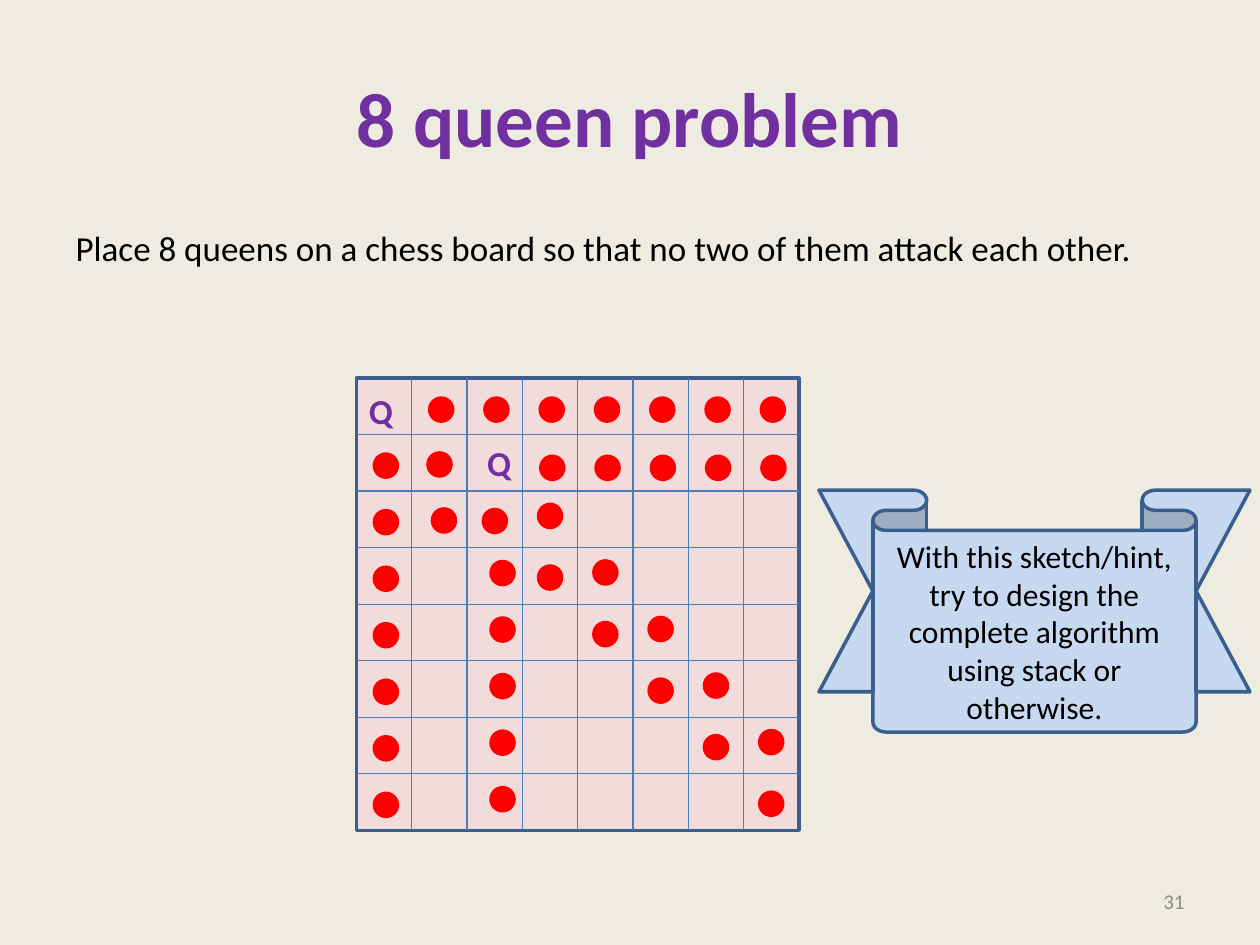
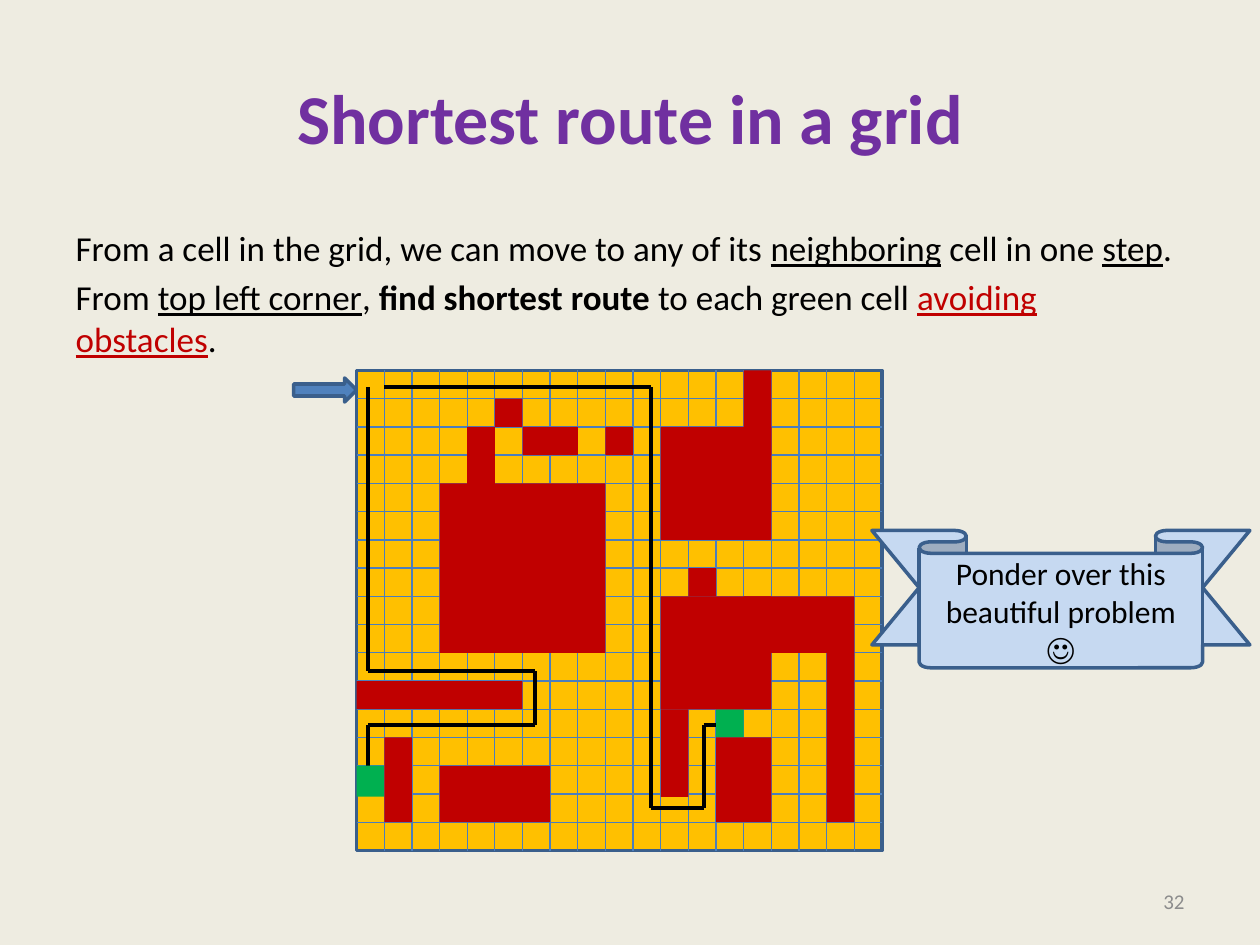
from dataclasses import dataclass
from itertools import pairwise

from lxml.etree import SubElement
from pptx import Presentation
from pptx.dml.color import RGBColor
from pptx.enum.shapes import MSO_CONNECTOR as Connector, MSO_SHAPE as Shape
from pptx.enum.text import MSO_ANCHOR as Anchor, PP_ALIGN as Align
from pptx.oxml.ns import qn
from pptx.util import Inches, Pt

COLOURS = {
    "background": "EEECE1", "title": "7030A0", "text": "000000", "number": "8C8C8C",
    "outline": "3A5F8C", "grid": "4B7EBC", "ribbon": "C6D9F1", "arrow": "4F81BD",
    "chessboard": "F2DCDB", "attacked": "FF0000",
    "floor": "FFC000", "obstacle": "C00000", "target": "00B050",
}
FONT = "Calibri"


@dataclass
class Grid:
    """Cells with their origin and size in inches."""
    left: float
    top: float
    column: float
    row: float

    def point(self, column, row):
        return Inches(self.left + column * self.column), Inches(self.top + row * self.row)

    def box(self, column, row, columns, rows):
        return *self.point(column, row), Inches(columns * self.column), Inches(rows * self.row)


PAGE = Grid(0, 0, 0.5, 0.5)
CHESSBOARD = Grid(2.83, 3, 3.51 / 8, 3.59 / 8)
MAZE = Grid(2.83, 2.94, 4.17 / 19, 3.81 / 17)


def colour(name):
    return RGBColor.from_string(COLOURS[name])


def write_text(text_frame, paragraphs, align=None, **style):
    """Fill a frame; a paragraph is a string or a list of strings and (string, format) runs."""
    for index, runs in enumerate(paragraphs):
        paragraph = text_frame.paragraphs[0] if index == 0 else text_frame.add_paragraph()
        paragraph.alignment = align
        for item in [runs] if isinstance(runs, str) else runs:
            text, extra = (item, {}) if isinstance(item, str) else item
            settings = {"size": 20, "color": "text", **style, **extra}
            run = paragraph.add_run()
            run.text = text
            run.font.name = FONT
            run.font.size = Pt(settings["size"])
            run.font.color.rgb = colour(settings["color"])
            run.font.bold = settings.get("bold")
            run.font.underline = settings.get("underline")


class Deck:
    def __init__(self):
        self.presentation = Presentation()
        self.presentation.slide_width = Inches(10)
        self.presentation.slide_height = Inches(7.5)
        fill = self.presentation.slide_master.background.fill
        fill.solid()
        fill.fore_color.rgb = colour("background")
        self.slide = None

    def add_slide(self, title, title_size, body, number):
        layout = self.presentation.slide_layouts[1]
        self.slide = self.presentation.slides.add_slide(layout)
        write_text(self.slide.shapes.title.text_frame, [title], Align.CENTER,
                   size=title_size, color="title", bold=True)
        body_frame = self.slide.placeholders[1].text_frame
        write_text(body_frame, body)
        for paragraph in body_frame.paragraphs:
            properties = paragraph._p.get_or_add_pPr()
            properties.set("marL", "0")
            properties.set("indent", "0")
            SubElement(properties, qn("a:buNone"))
        self.label(PAGE, (14.34, 13.9, 4.66, 0.8), number, Align.RIGHT,
                   Anchor.MIDDLE, size=12, color="number")

    def label(self, grid, cells, text, align=None, anchor=Anchor.TOP, wrap=True, **style):
        text_frame = self.slide.shapes.add_textbox(*grid.box(*cells)).text_frame
        text_frame.word_wrap = wrap
        text_frame.vertical_anchor = anchor
        write_text(text_frame, [text], align, **style)

    def shape(self, grid, cells, fill, kind=Shape.RECTANGLE, outlined=False):
        shape = self.slide.shapes.add_shape(kind, *grid.box(*cells))
        shape.shadow.inherit = False
        shape.fill.solid()
        shape.fill.fore_color.rgb = colour(fill)
        if outlined:
            shape.line.color.rgb = colour("outline")
            shape.line.width = Pt(2)
        else:
            shape.line.fill.background()
        return shape

    def line(self, grid, start, end, line_colour, width):
        connector = self.slide.shapes.add_connector(
            Connector.STRAIGHT, *grid.point(*start), *grid.point(*end))
        connector.line.color.rgb = colour(line_colour)
        connector.line.width = Pt(width)
        SubElement(connector._element.spPr, qn("a:effectLst"))

    def board(self, grid, columns, rows, fill):
        self.shape(grid, (0, 0, columns, rows), fill, outlined=True)
        for column in range(1, columns):
            self.line(grid, (column, 0), (column, rows), "grid", 0.75)
        for row in range(1, rows):
            self.line(grid, (0, row), (columns, row), "grid", 0.75)

    def route(self, grid, corners):
        for start, end in pairwise(corners):
            self.line(grid, start, end, "text", 2.25)

    def ribbon(self, cells, paragraphs):
        ribbon = self.shape(PAGE, cells, "ribbon", Shape.DOWN_RIBBON, outlined=True)
        ribbon.adjustments[1] = 0.75
        ribbon.text_frame.word_wrap = True
        ribbon.text_frame.vertical_anchor = Anchor.MIDDLE
        write_text(ribbon.text_frame, paragraphs, Align.CENTER, size=18)


def build_queens(deck):
    deck.add_slide("8 queen problem", 44, [
        "Place 8 queens on a chess board so that no two of them attack each other."], "31")
    deck.board(CHESSBOARD, 8, 8, "chessboard")
    for column, row in [(0, 0.09), (2.14, 1.02)]:
        deck.label(CHESSBOARD, (column, row, 0.89, 0.98), "Q",
                   wrap=False, color="title", bold=True)

    # Each line of attack: its cells and its shift from the cell centres.
    attacks = [
        ([(column, 0) for column in range(1, 8)], 0.03, 0.06),
        ([(0, row) for row in range(1, 8)], 0.03, 0.05),
        ([(step, step) for step in range(1, 8)], 0, 0.03),
        ([(column, 1) for column in range(3, 8)], 0.04, 0.09),
        ([(2, row) for row in range(3, 8)], 0.14, -0.05),
        ([(step + 1, step) for step in range(2, 7)], 0, -0.06),
        ([(1, 2)], 0.08, 0.02),
    ]
    width, height = 0.48, 0.47
    for cells, shift_x, shift_y in attacks:
        for column, row in cells:
            dot = (column + (1 - width) / 2 + shift_x, row + (1 - height) / 2 + shift_y,
                   width, height)
            deck.shape(CHESSBOARD, dot, "attacked", Shape.OVAL)
    deck.ribbon((13, 7.78, 6.84, 3.84), [
        "With this sketch/hint,",
        "try to design the complete algorithm using stack or otherwise."])


def build_shortest_route(deck):
    underlined = {"underline": True}
    deck.add_slide("Shortest route in a grid", 40, [
        ["From a cell in the grid, we can move to any of its ", ("neighboring", underlined),
         " cell in one ", ("step", underlined), "."],
        ["From ", ("top left corner", underlined), ", ",
         ("find shortest route ", {"bold": True}), "to each green cell ",
         ("avoiding obstacles", {"color": "obstacle", "underline": True}), "."],
    ], "32")
    deck.board(MAZE, 19, 17, "floor")
    deck.route(MAZE, [(0.4, 0.6), (0.4, 10.65), (6.45, 10.65), (6.45, 12.55),
                      (0.4, 12.55), (0.4, 14.5)])
    deck.route(MAZE, [(1, 0.6), (10.65, 0.6), (10.65, 15.5), (12.55, 15.5),
                      (12.55, 12.55), (13.3, 12.55)])
    for target in [(0, 14, 1, 1.1), (13, 12, 1, 1)]:
        deck.shape(MAZE, target, "target")
    deck.shape(MAZE, (-2.28, 0.27, 2.28, 0.85), "arrow", Shape.RIGHT_ARROW, outlined=True)

    obstacles = [
        (11, 2, 4, 4), (11, 8, 4, 4), (3, 4, 6, 6), (3, 14, 4, 2),
        (13, 13, 2, 3), (6, 2, 2, 1), (0, 11, 6, 1), (1, 13, 1, 3),
        (11, 12, 1, 3.1), (4, 2, 1, 3), (5, 1, 1, 1), (9, 2, 1, 1),
        (14, 0, 1, 3), (14, 8, 4, 2), (17, 10, 1, 6), (12, 7, 1, 1),
    ]
    for obstacle in obstacles:
        deck.shape(MAZE, obstacle, "obstacle")
    deck.ribbon((13.84, 8.42, 6, 2.18), ["Ponder over this beautiful problem ☺"])


def main():
    deck = Deck()
    build_queens(deck)
    build_shortest_route(deck)
    deck.presentation.save("out.pptx")


if __name__ == "__main__":
    main()
